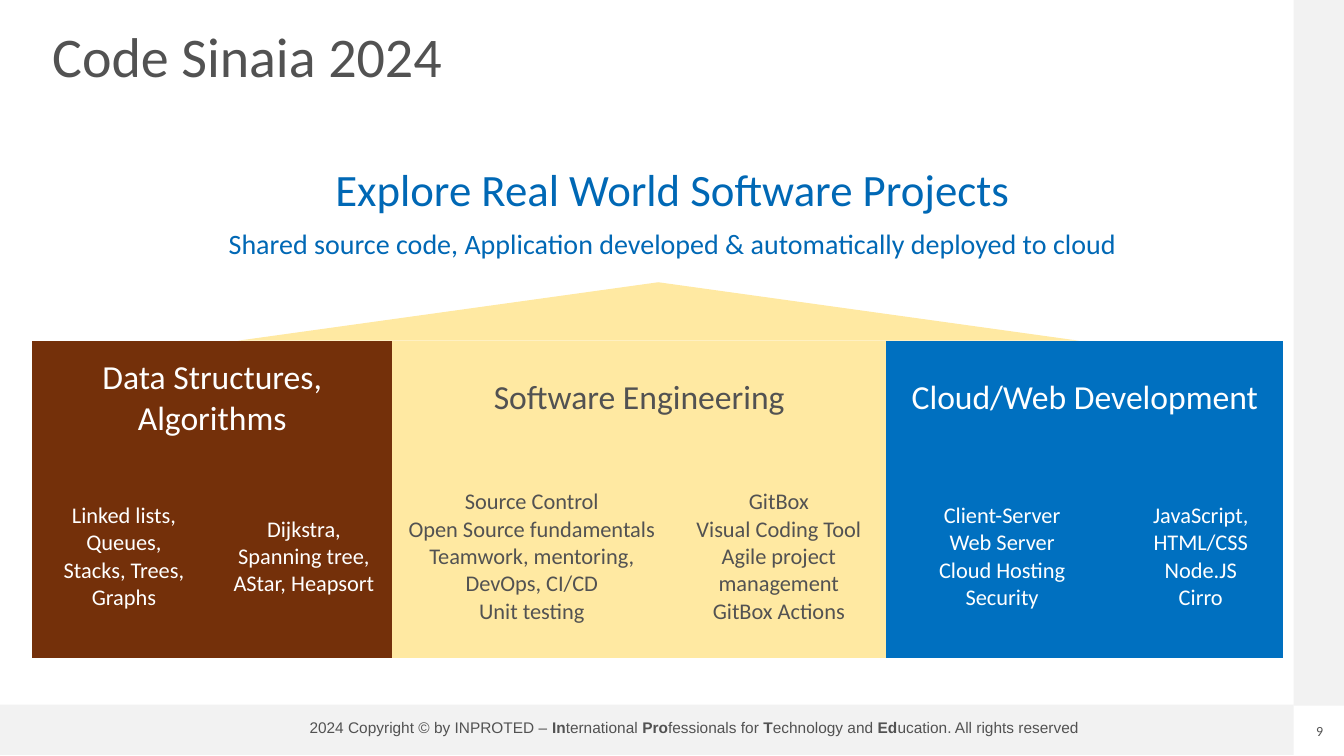
from pptx import Presentation
from pptx.dml.color import RGBColor as RGB
from pptx.enum.shapes import MSO_SHAPE as SHAPE
from pptx.enum.text import MSO_ANCHOR as ANCHOR, PP_ALIGN as ALIGN
from pptx.oxml.ns import qn
from pptx.util import Pt

PX = 9144  # 100 px to the inch
WHITE = RGB(0xFF, 0xFF, 0xFF)
PALE = RGB(0xF2, 0xF2, 0xF2)
GREY = RGB(0x52, 0x52, 0x52)
BROWN = RGB(0x74, 0x30, 0x0A)
SAND = RGB(0xFF, 0xE9, 0xA2)
BLUE = RGB(0x00, 0x70, 0xC0)
INK = RGB(0x00, 0x68, 0xB5)
NO_STYLE = "{2D5ABB26-0587-4C30-8999-92F81FD0307C}"

deck = Presentation()
deck.slide_width, deck.slide_height = 1333 * PX, 750 * PX
slide = deck.slides.add_slide(deck.slide_layouts[6])
shapes = slide.shapes


def write(frame, text, size=16, color=GREY, font="Calibri", align=ALIGN.CENTER,
          space=None, before=0):
    """Each line is a paragraph; text between asterisks is bold."""
    frame.word_wrap = True
    for i, line in enumerate(text.split("\n")):
        para = frame.paragraphs[0] if i == 0 else frame.add_paragraph()
        para.alignment = align
        if space:
            para.line_spacing = space
        if i and before:
            para.space_before = Pt(before)
        for j, part in enumerate(line.split("*")):
            if part:
                run = para.add_run()
                run.text = part
                run.font.name = font
                run.font.size = Pt(size[i] if isinstance(size, list) else size)
                run.font.bold = j % 2 == 1
                run.font.color.rgb = color


def box(x, y, w, h):
    return shapes.add_textbox(x * PX, y * PX, w * PX, h * PX).text_frame


# Frame bands and roof
for kind, x, y, w, h, fill in [
    (SHAPE.RECTANGLE, 0, 699, 1283, 50, PALE),
    (SHAPE.RECTANGLE, 1283, 0, 50, 700, PALE),
    (SHAPE.ISOSCELES_TRIANGLE, 236, 280, 834, 58, SAND),
]:
    shape = shapes.add_shape(kind, x * PX, y * PX, w * PX, h * PX)
    shape.shadow.inherit = False
    shape.fill.solid()
    shape.fill.fore_color.rgb = fill
    shape.line.fill.background()

# Footer and page number
write(box(275, 707, 827, 29),
      "2024 Copyright © by INPROTED – *In*ternational *Pro*fessionals for "
      "*T*echnology and *Ed*ucation. All rights reserved", size=11, font="Arial")
page = box(1301, 717, 16, 17)
page.margin_left = page.margin_right = page.margin_top = page.margin_bottom = 0
write(page, "9", size=10)

# Title and goal
title = box(42, -7, 1200, 131)
title.vertical_anchor = ANCHOR.MIDDLE
write(title, "Code Sinaia 2024", size=40, align=ALIGN.LEFT, space=0.9)
write(box(164, 162, 1006, 118),
      "Explore Real World Software Projects\n"
      "Shared source code, Application developed & automatically deployed to cloud",
      size=[32, 20], color=INK, space=0.9, before=10)

# Three pillars: heading, fill, text colour, two topic lists
pillars = [
    ("Data Structures, Algorithms", BROWN, WHITE,
     "Linked lists, Queues,\nStacks, Trees, Graphs",
     "Dijkstra, Spanning tree, AStar, Heapsort"),
    ("Software Engineering", SAND, GREY,
     "Source Control\nOpen Source fundamentals\nTeamwork, mentoring,\n"
     "DevOps, CI/CD\nUnit testing",
     "GitBox\nVisual Coding Tool\nAgile project management\nGitBox Actions"),
    ("Cloud/Web Development", BLUE, WHITE,
     "Client-Server\nWeb Server\nCloud Hosting\nSecurity",
     "JavaScript, HTML/CSS\nNode.JS\nCirro"),
]
widths = [182, 175, 277, 213, 230, 164]
heights = [107, 208]
table = shapes.add_table(2, 6, 32 * PX, 338 * PX, sum(widths) * PX,
                         sum(heights) * PX).table
table.first_row = table.horz_banding = False
table._tbl.tblPr.find(qn("a:tableStyleId")).text = NO_STYLE
for col, w in zip(table.columns, widths):
    col.width = w * PX
for row, h in zip(table.rows, heights):
    row.height = h * PX

for i, (head, fill, color, left, right) in enumerate(pillars):
    table.cell(0, 2 * i).merge(table.cell(0, 2 * i + 1))
    for r, c, text, size in [(0, 0, head, 24), (0, 1, "", 24),
                             (1, 0, left, 16), (1, 1, right, 16)]:
        cell = table.cell(r, 2 * i + c)
        cell.fill.solid()
        cell.fill.fore_color.rgb = fill
        cell.vertical_anchor = ANCHOR.MIDDLE
        cell.margin_left = cell.margin_right = cell.margin_top = 14 * PX
        cell.margin_bottom = 7 * PX
        write(cell.text_frame, text, size=size, color=color)

deck.save("out.pptx")
